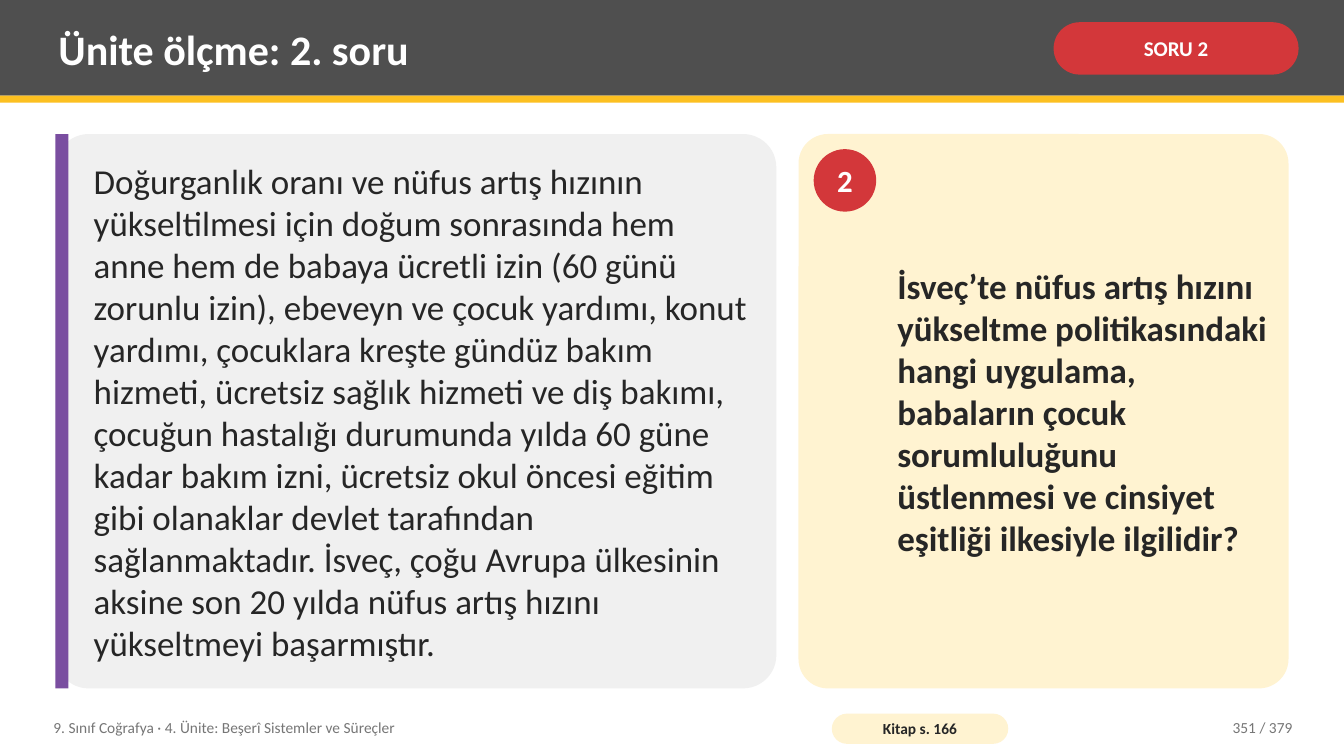
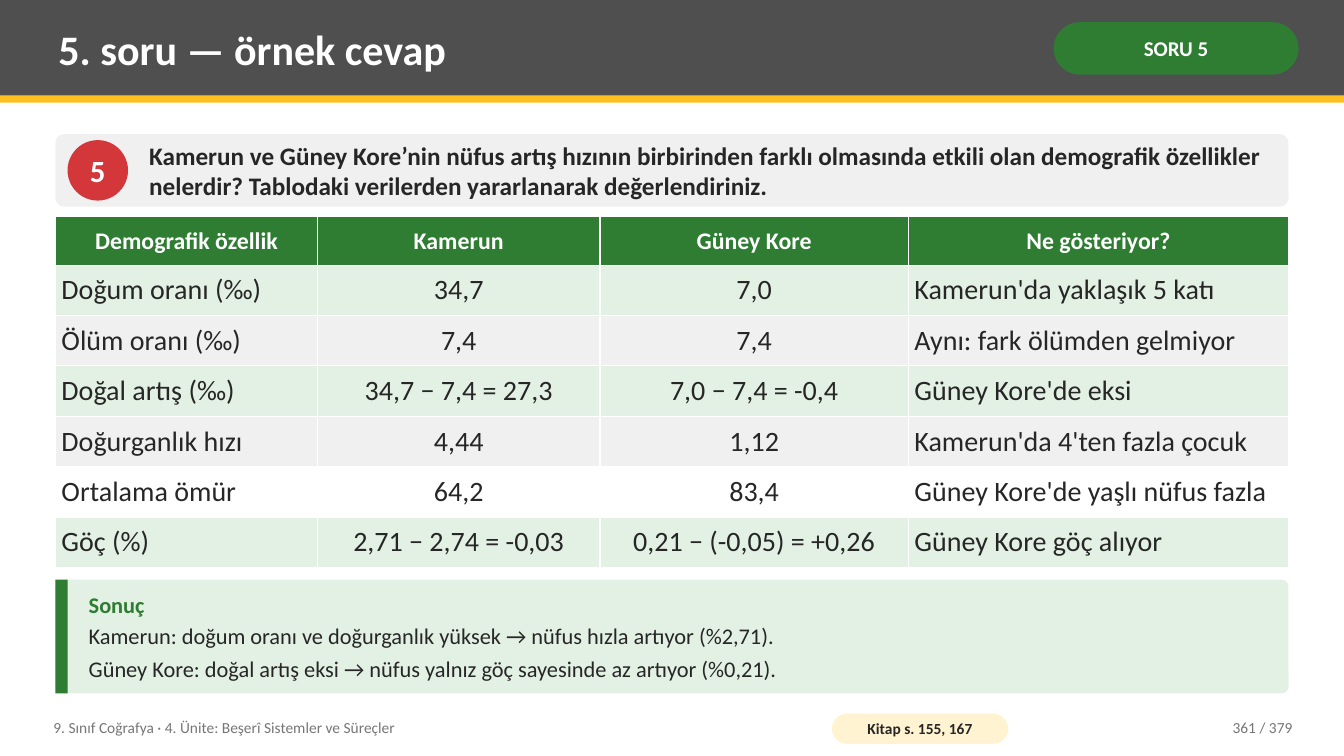
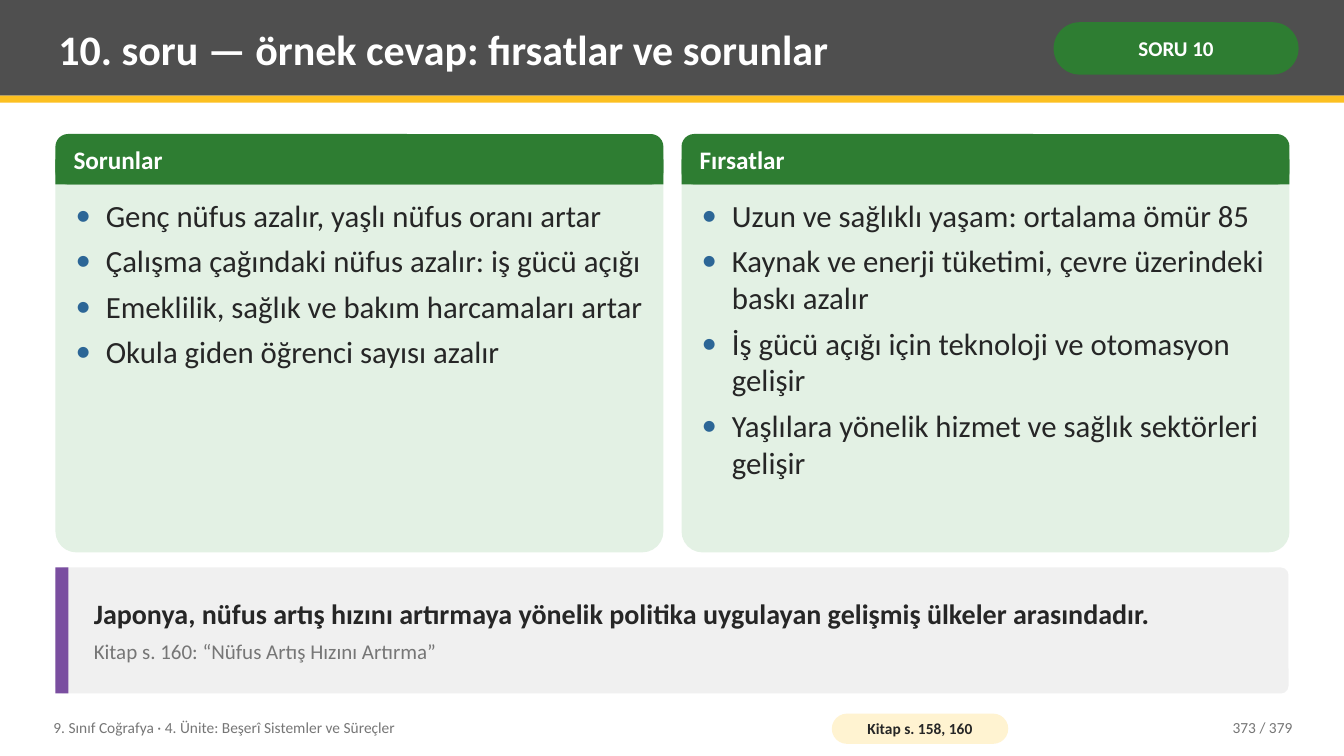
import pptx
import pptx.util
import pptx.dml.color
import pptx.enum.shapes
import pptx.enum.text
import pptx.oxml
import pptx.oxml.ns

Inches = pptx.util.Inches
Pt = pptx.util.Pt
SHAPE = pptx.enum.shapes.MSO_SHAPE
ANCHOR = pptx.enum.text.MSO_ANCHOR
ALIGN = pptx.enum.text.PP_ALIGN
NS = pptx.oxml.ns.nsdecls("a")

FONT = "Calibri"
COLORS = {
    "white": "FFFFFF", "ink": "262626", "muted": "767676", "band": "4F4F4F",
    "gold": "FCC021", "cream": "FFF3D1", "grey": "F0F0F0", "red": "D3373A",
    "green": "2E7D32", "mint": "E3F1E4", "purple": "7A4EA0", "blue": "2C6696",
}
LEFT, TOP, WIDTH = 0.55, 1.33, 12.23


def box(s, kind, x, y, w, h, fill=None, adj=None):
    """Add a filled shape, or a text box when kind is None; return its text frame."""
    at = [Inches(v) for v in (x, y, w, h)]
    if kind is None:
        sp = s.shapes.add_textbox(*at)
    else:
        sp = s.shapes.add_shape(kind, *at)
        sp.shadow.inherit = False
        sp.fill.solid()
        sp.fill.fore_color.rgb = pptx.dml.color.RGBColor.from_string(COLORS[fill])
        sp.line.fill.background()
        if adj is not None:
            sp.adjustments[0] = adj
    tf = sp.text_frame
    tf.word_wrap = True
    tf.vertical_anchor = ANCHOR.MIDDLE
    tf.margin_left = tf.margin_right = Inches(0.08)
    tf.margin_top = tf.margin_bottom = Inches(0.04)
    return tf


def write(tf, text, size, color="ink", bold=False, align=ALIGN.LEFT):
    """Fill a text frame, one paragraph a line, in one style."""
    tf.text = text
    for p in tf.paragraphs:
        p.alignment = align
        for r in p.runs:
            r.font.name = FONT
            r.font.size = Pt(size)
            r.font.bold = bold
            r.font.color.rgb = pptx.dml.color.RGBColor.from_string(COLORS[color])


prs = pptx.Presentation()
prs.slide_width, prs.slide_height = Inches(13.33), Inches(7.5)

# Header and footer of every slide: title, tag, tag colour, book pages, number
headers = [
    ("Ünite ölçme: 2. soru", "SORU 2", "red", "166", 351),
    ("5. soru — örnek cevap", "SORU 5", "green", "155, 167", 361),
    ("10. soru — örnek cevap: fırsatlar ve sorunlar", "SORU 10", "green", "158, 160", 373),
]
slides = []
for title, tag, tag_color, pages, number in headers:
    s = prs.slides.add_slide(prs.slide_layouts[6])
    box(s, SHAPE.RECTANGLE, 0, 0, 13.33, 0.95, "band")
    box(s, SHAPE.RECTANGLE, 0, 0.95, 13.33, 0.07, "gold")
    write(box(s, None, 0.5, 0.07, 9.75, 0.82), title, 30, "white", True)
    tf = box(s, SHAPE.ROUNDED_RECTANGLE, 10.45, 0.22, 2.43, 0.52, tag_color, 0.5)
    write(tf, tag, 15, "white", True, ALIGN.CENTER)
    write(box(s, None, 0.45, 7.04, 7.6, 0.36),
          "9. Sınıf Coğrafya · 4. Ünite: Beşerî Sistemler ve Süreçler", 11, "muted")
    tf = box(s, SHAPE.ROUNDED_RECTANGLE, 8.25, 7.08, 1.75, 0.3, "cream", 0.5)
    write(tf, f"Kitap s. {pages}", 11, "ink", True, ALIGN.CENTER)
    write(box(s, None, 11.3, 7.04, 1.6, 0.36), f"{number} / 379", 11, "muted",
          align=ALIGN.RIGHT)
    slides.append(s)
question, answer, columns = slides

# Panels with an accent bar: slide, top, width, height, radius, fill, bar, bar width
for s, y, w, h, adj, fill, bar, bar_w in [
    (question, TOP, 7.15, 5.5, 0.06, "grey", "purple", 0.13),
    (answer, 5.75, WIDTH, 1.13, 0.06, "mint", "green", 0.12),
    (columns, 5.63, WIDTH, 1.25, 0.06, "grey", "purple", 0.13),
]:
    box(s, SHAPE.ROUNDED_RECTANGLE, LEFT, y, w, h, fill, adj)
    box(s, SHAPE.RECTANGLE, LEFT, y, bar_w, h, bar)

# Question panels
box(question, SHAPE.ROUNDED_RECTANGLE, 7.92, TOP, 4.86, 5.5, "cream", 0.06)
box(answer, SHAPE.ROUNDED_RECTANGLE, LEFT, TOP, WIDTH, 0.72, "grey", 0.12)

# Question number circles
for s, x, y, size, number in [(question, 8.07, 1.48, 0.62, "2"),
                              (answer, 0.67, 1.39, 0.6, "5")]:
    tf = box(s, SHAPE.OVAL, x, y, size, size, "red")
    tf.word_wrap = False
    write(tf, number, 22, "white", True, ALIGN.CENTER)

# Slide 1: source text and question
write(box(question, None, 0.85, TOP, 6.7, 5.5),
      "Doğurganlık oranı ve nüfus artış hızının yükseltilmesi için doğum sonrasında "
      "hem anne hem de babaya ücretli izin (60 günü zorunlu izin), ebeveyn ve çocuk "
      "yardımı, konut yardımı, çocuklara kreşte gündüz bakım hizmeti, ücretsiz sağlık "
      "hizmeti ve diş bakımı, çocuğun hastalığı durumunda yılda 60 güne kadar bakım "
      "izni, ücretsiz okul öncesi eğitim gibi olanaklar devlet tarafından "
      "sağlanmaktadır. İsveç, çoğu Avrupa ülkesinin aksine son 20 yılda nüfus artış "
      "hızını yükseltmeyi başarmıştır.", 25)
write(box(question, None, 8.82, 1.41, 3.86, 5.34),
      "İsveç’te nüfus artış hızını yükseltme politikasındaki hangi uygulama, babaların "
      "çocuk sorumluluğunu üstlenmesi ve cinsiyet eşitliği ilkesiyle ilgilidir?",
      25, "ink", True)

# Slide 2: question
write(box(answer, None, 1.4, TOP, 11.28, 0.72),
      "Kamerun ve Güney Kore’nin nüfus artış hızının birbirinden farklı olmasında etkili "
      "olan demografik özellikler nelerdir? Tablodaki verilerden yararlanarak "
      "değerlendiriniz.", 18, "ink", True)

# Slide 2: comparison table, each row led by its fill
rows = [
    ("green", "Demografik özellik", "Kamerun", "Güney Kore", "Ne gösteriyor?"),
    ("mint", "Doğum oranı (‰)", "34,7", "7,0", "Kamerun'da yaklaşık 5 katı"),
    ("grey", "Ölüm oranı (‰)", "7,4", "7,4", "Aynı: fark ölümden gelmiyor"),
    ("mint", "Doğal artış (‰)", "34,7 − 7,4 = 27,3", "7,0 − 7,4 = -0,4",
     "Güney Kore'de eksi"),
    ("grey", "Doğurganlık hızı", "4,44", "1,12", "Kamerun'da 4'ten fazla çocuk"),
    ("white", "Ortalama ömür", "64,2", "83,4", "Güney Kore'de yaşlı nüfus fazla"),
    ("mint", "Göç (%)", "2,71 − 2,74 = -0,03", "0,21 − (-0,05) = +0,26",
     "Güney Kore göç alıyor"),
]
table = answer.shapes.add_table(len(rows), 4, Inches(LEFT), Inches(2.15),
                                Inches(WIDTH), Inches(3.48)).table
for col, w in zip(table.columns, (2.6, 2.8, 3.06, 3.77)):
    col.width = Inches(w)
for i, (fill, *texts) in enumerate(rows):
    head = i == 0
    table.rows[i].height = Inches(0.48 if head else 0.5)
    for j, text in enumerate(texts):
        cell = table.cell(i, j)
        cell.vertical_anchor = ANCHOR.MIDDLE
        cell.margin_left = cell.margin_right = Inches(0.06)
        cell.margin_top = cell.margin_bottom = Inches(0.05)
        write(cell.text_frame, text, 17 if head else 20, "white" if head else "ink",
              head, ALIGN.CENTER if head or j in (1, 2) else ALIGN.LEFT)
        tcPr = cell._tc.get_or_add_tcPr()
        for side in ("lnL", "lnR", "lnT", "lnB"):
            tcPr.append(pptx.oxml.parse_xml(
                f'<a:{side} {NS} w="{Pt(0.96)}"><a:solidFill>'
                f'<a:srgbClr val="{COLORS["white"]}"/></a:solidFill></a:{side}>'))
        cell.fill.solid()
        cell.fill.fore_color.rgb = pptx.dml.color.RGBColor.from_string(COLORS[fill])

# Slide 2: conclusion
tf = box(answer, None, 0.8, 5.81, 11.88, 1.01)
write(tf, "Sonuç\n"
      "Kamerun: doğum oranı ve doğurganlık yüksek → nüfus hızla artıyor (%2,71).\n"
      "Güney Kore: doğal artış eksi → nüfus yalnız göç sayesinde az artıyor (%0,21).", 16)
r = tf.paragraphs[0].runs[0]
r.font.bold = True
r.font.color.rgb = pptx.dml.color.RGBColor.from_string(COLORS["green"])
tf.paragraphs[0].space_after = Pt(3.4)
tf.paragraphs[1].space_after = Pt(4.2)

# Slide 3: two cards with bulleted lists
cards = [
    ("Sorunlar",
     "Genç nüfus azalır, yaşlı nüfus oranı artar\n"
     "Çalışma çağındaki nüfus azalır: iş gücü açığı\n"
     "Emeklilik, sağlık ve bakım harcamaları artar\n"
     "Okula giden öğrenci sayısı azalır"),
    ("Fırsatlar",
     "Uzun ve sağlıklı yaşam: ortalama ömür 85\n"
     "Kaynak ve enerji tüketimi, çevre üzerindeki baskı azalır\n"
     "İş gücü açığı için teknoloji ve otomasyon gelişir\n"
     "Yaşlılara yönelik hizmet ve sağlık sektörleri gelişir"),
]
card_w, gap = 6.03, 0.18
for i, (heading, items) in enumerate(cards):
    x = LEFT + i * (card_w + gap)
    box(columns, SHAPE.ROUNDED_RECTANGLE, x, TOP, card_w, 4.15, "mint", 0.05)
    box(columns, SHAPE.ROUNDED_RECTANGLE, x, TOP, card_w, 0.5, "green", 0.25)
    box(columns, SHAPE.RECTANGLE, x, TOP + 0.25, card_w, 0.25, "green")
    write(box(columns, None, x + 0.1, TOP, card_w - 0.2, 0.5), heading, 18, "white", True)
    tf = box(columns, None, x + 0.12, 1.91, card_w - 0.24, 3.49)
    tf.vertical_anchor = ANCHOR.TOP
    write(tf, items, 22)
    for p in tf.paragraphs:
        p.space_after = Pt(6)
        pPr = p._p.get_or_add_pPr()
        pPr.set("marL", str(Inches(0.3)))
        pPr.set("indent", str(-Inches(0.3)))
        for xml in (f'<a:buClr {NS}><a:srgbClr val="{COLORS["blue"]}"/></a:buClr>',
                    f'<a:buFont {NS} typeface="{FONT}"/>',
                    f'<a:buChar {NS} char="•"/>'):
            pPr.append(pptx.oxml.parse_xml(xml))

# Slide 3: closing note
tf = box(columns, None, 0.85, 5.63, 11.78, 1.25)
write(tf, "Japonya, nüfus artış hızını artırmaya yönelik politika uygulayan gelişmiş "
      "ülkeler arasındadır.\nKitap s. 160: “Nüfus Artış Hızını Artırma”", 20, "ink", True)
tf.paragraphs[0].space_after = Pt(6)
r = tf.paragraphs[1].runs[0]
r.font.size = Pt(15)
r.font.bold = False
r.font.color.rgb = pptx.dml.color.RGBColor.from_string(COLORS["muted"])

prs.save("out.pptx")
